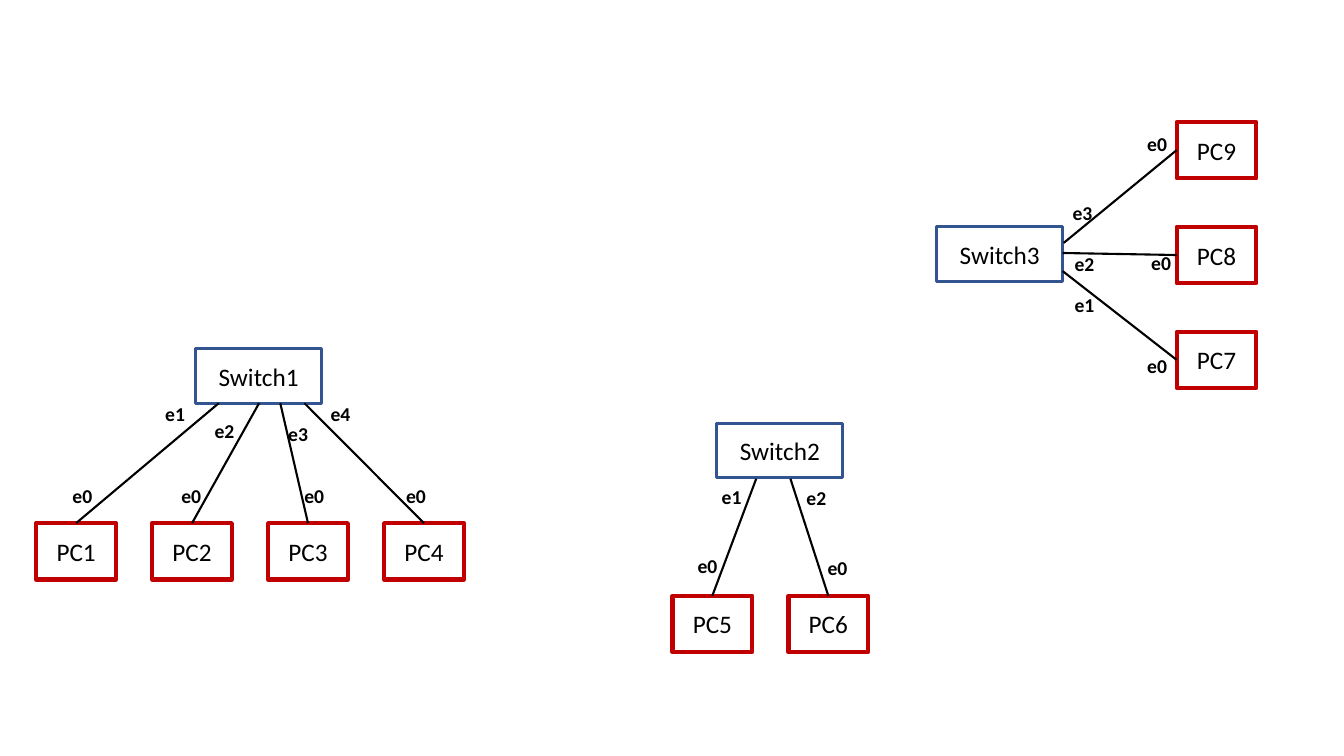
from lxml.etree import SubElement as SubEl
from pptx import Presentation
from pptx.dml.color import RGBColor
from pptx.enum.shapes import MSO_CONNECTOR as Link, MSO_SHAPE as Shape
from pptx.enum.text import MSO_ANCHOR as Anchor, MSO_AUTO_SIZE as Fit, PP_ALIGN as Align
from pptx.oxml.ns import qn
from pptx.util import Inches, Pt

BLACK = RGBColor(0, 0, 0)
WHITE = RGBColor(255, 255, 255)
BLUE = RGBColor(0x32, 0x54, 0x91)
RED = RGBColor(0xC0, 0, 0)

BOX = (1.25, 0.54)
HOST = (0.79, 0.56)
TAG = (0.4, 0.34)

NETS = [
    dict(name="Switch1", spot=(1.94, 3.46), first=1, start=(0.36, 5.19),
         step=(1.15, 0), dock=(0.5, 0), wires=[
             ((2.17, 4), "e1", (1.54, 3.94), (0.62, 4.75)),
             ((2.57, 4), "e2", (2.03, 4.11), (1.7, 4.75)),
             ((2.78, 4), "e3", (2.76, 4.14), (2.92, 4.75)),
             ((3.02, 4), "e4", (3.18, 3.94), (3.93, 4.75))]),
    dict(name="Switch2", spot=(7.11, 4.2), first=5, start=(6.67, 5.91),
         step=(1.15, 0), dock=(0.5, 0), wires=[
             ((7.5, 4.75), "e1", (7.06, 4.76), (6.82, 5.45)),
             ((7.84, 4.75), "e2", (7.9, 4.77), (8.11, 5.47))]),
    dict(name="Switch3", spot=(9.29, 2.25), first=7, start=(11.67, 3.29),
         step=(0, -1.04), dock=(0, 0.5), wires=[
             ((10.54, 2.69), "e1", (10.56, 2.86), (11.28, 3.46)),
             ((10.54, 2.51), "e2", (10.56, 2.45), (11.32, 2.44)),
             ((10.55, 2.41), "e3", (10.54, 1.94), (11.28, 1.26))]),
]


def write(frame, text, size=18, bold=False, align=Align.LEFT, color=BLACK, font="Calibri"):
    para = frame.paragraphs[0]
    para.alignment = align
    run = para.add_run()
    run.text = text
    run.font.name = font
    run.font.size = Pt(size)
    run.font.bold = bold
    run.font.color.rgb = color


def shift(spot, step, times=1):
    return tuple(a + b * times for a, b in zip(spot, step))


class Map:
    def __init__(self, slide):
        self.shapes = slide.shapes

    def box(self, text, spot, size, color, width):
        box = self.shapes.add_shape(Shape.RECTANGLE, *map(Inches, spot + size))
        box.shadow.inherit = False
        box.fill.solid()
        box.fill.fore_color.rgb = WHITE
        box.line.color.rgb = color
        box.line.width = Pt(width)
        box.text_frame.vertical_anchor = Anchor.MIDDLE
        write(box.text_frame, text, align=Align.CENTER)

    def wire(self, start, end):
        wire = self.shapes.add_connector(Link.STRAIGHT, *map(Inches, start + end))
        wire.line.color.rgb = BLACK
        wire.line.width = Pt(1.5)
        SubEl(wire._element.spPr, qn("a:effectLst"))

    def tag(self, text, spot):
        frame = self.shapes.add_textbox(*map(Inches, spot + TAG)).text_frame
        frame.word_wrap = False
        frame.auto_size = Fit.SHAPE_TO_FIT_TEXT
        write(frame, text, size=14, bold=True)

    def net(self, name, spot, first, start, step, dock, wires):
        self.box(name, spot, BOX, BLUE, 2.25)
        edge = tuple(a * b for a, b in zip(HOST, dock))
        for i, (port, label, near, far) in enumerate(wires):
            host = shift(start, step, i)
            self.box(f"PC{first + i}", host, HOST, RED, 3)
            self.wire(port, shift(host, edge))
            self.tag(label, near)
            self.tag("e0", far)


def main():
    deck = Presentation()
    deck.slide_width = Inches(13.33)
    deck.slide_height = Inches(7.5)
    page = Map(deck.slides.add_slide(deck.slide_layouts[6]))
    for net in NETS:
        page.net(**net)
    deck.save("out.pptx")


if __name__ == "__main__":
    main()
